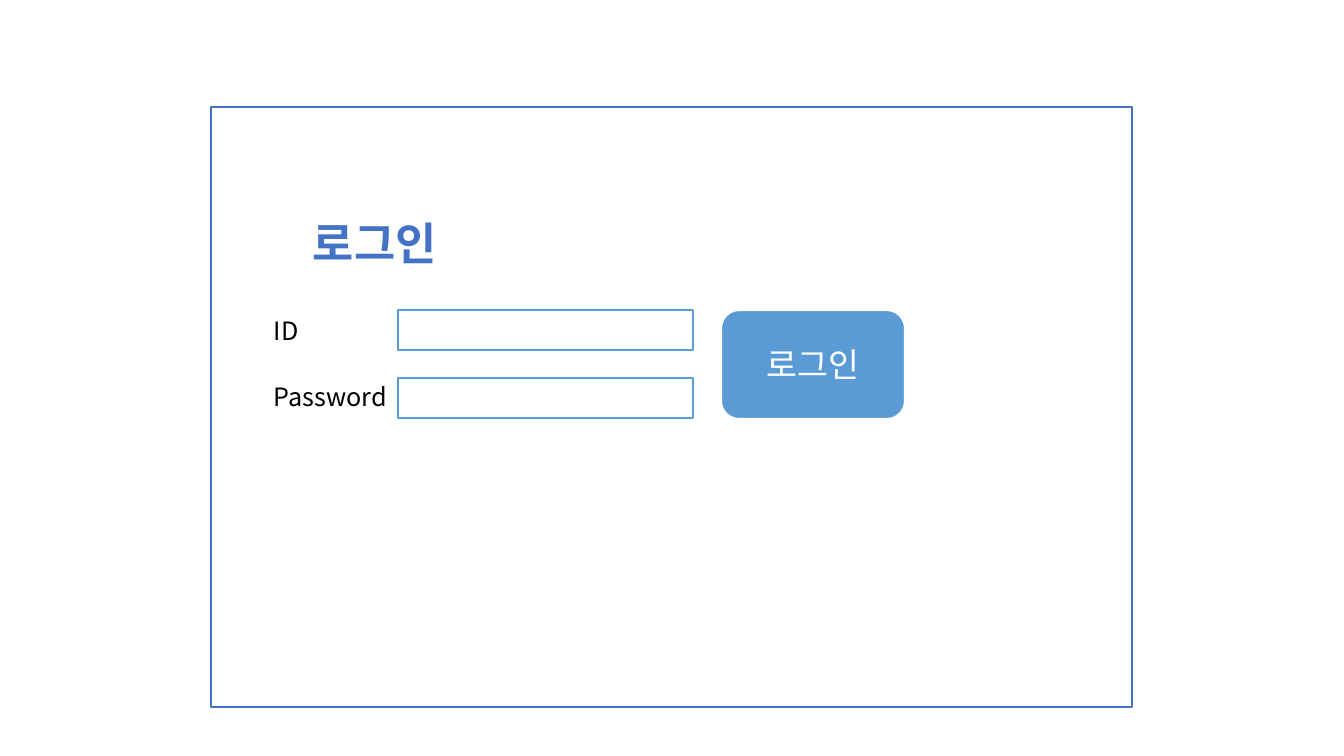
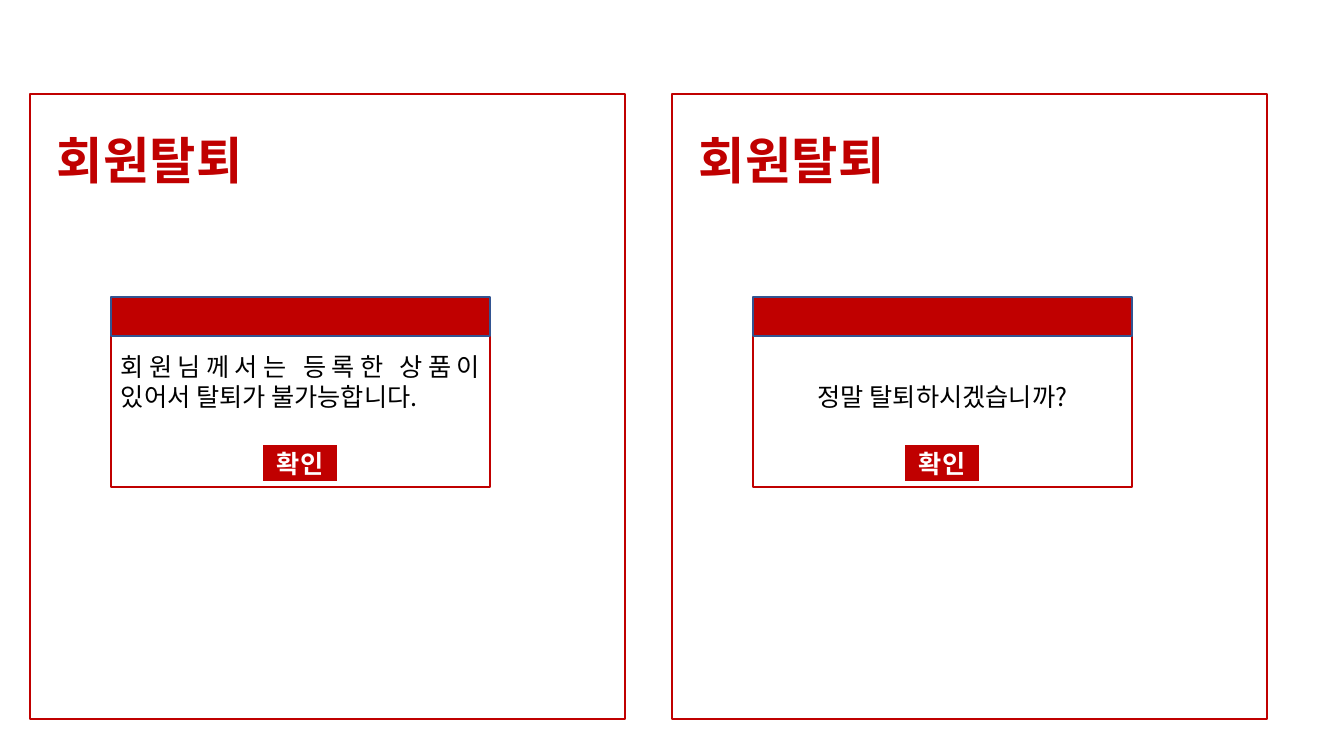
import pptx
import pptx.dml.color
import pptx.enum.shapes
import pptx.enum.text
import pptx.oxml.ns
import pptx.util
from lxml import etree

SHAPE = pptx.enum.shapes.MSO_SHAPE
ALIGN = pptx.enum.text.PP_ALIGN
ANCHOR = pptx.enum.text.MSO_ANCHOR
FONT = "Noto Sans CJK KR"
SCALE = 914400 / 100.8
PAGE_SIZE = (1344, 756)
COLORS = {"white": "FFFFFF", "black": "000000", "blue": "4472C4",
          "sky": "5B9BD5", "red": "C00000", "navy": "325491"}

# Content
LOGIN_TITLE = "로그인"
LOGIN_BUTTON = "로그인"
LOGIN_FIELDS = [("ID", 310, 310), ("Password", 376, 378)]  # label top, field top
LEAVE_TITLE = "회원탈퇴"
CONFIRM = "확인"
# Message, alignment, lines left free under the message
LEAVE_PANELS = [
    ("회원님께서는 등록한 상품이 있어서 탈퇴가 불가능합니다.", ALIGN.JUSTIFY, 2),
    ("정말 탈퇴하시겠습니까?", ALIGN.CENTER, 1),
]

# Text formats
BODY = {"size": 18, "color": "black", "bold": False}
LOGIN_HEADING = {"size": 32, "color": "blue", "bold": True}
LEAVE_HEADING = {"size": 36, "color": "red", "bold": True}
LOGIN_ACTION = {"size": 24, "color": "white", "bold": False}
CONFIRM_ACTION = {"size": 18, "color": "white", "bold": True}

# Layout
PANEL_STEP = 642
LINE_HEIGHT = 30
INSET = 5


def px(value):
    return pptx.util.Emu(round(value * SCALE))


def rgb(name):
    return pptx.dml.color.RGBColor.from_string(COLORS[name])


def write(box, text, style, align=ALIGN.LEFT):
    para = box.text_frame.paragraphs[0]
    para.alignment = align
    para.line_spacing = pptx.util.Pt(style["size"] * 1.2)
    span = para.add_run()
    span.text = text
    values = {"name": FONT, "size": pptx.util.Pt(style["size"]), "bold": style["bold"]}
    for key, value in values.items():
        setattr(span.font, key, value)
    span.font.color.rgb = rgb(style["color"])
    east_asian = etree.SubElement(span.font._element, pptx.oxml.ns.qn("a:ea"))
    east_asian.set("typeface", FONT)


def add_label(page, area, text, style):
    box = page.shapes.add_textbox(*map(px, area))
    box.text_frame.word_wrap = True
    box.text_frame.auto_size = pptx.enum.text.MSO_AUTO_SIZE.SHAPE_TO_FIT_TEXT
    write(box, text, style)


def add_box(page, area, fill, line, width=1, kind=SHAPE.RECTANGLE):
    box = page.shapes.add_shape(kind, *map(px, area))
    box.shadow.inherit = False
    box.fill.solid()
    box.fill.fore_color.rgb = rgb(fill)
    box.line.color.rgb = rgb(line)
    box.line.width = pptx.util.Pt(width)
    box.text_frame.vertical_anchor = ANCHOR.MIDDLE
    return box


def add_button(page, area, fill, text, style, kind=SHAPE.RECTANGLE):
    button = add_box(page, area, fill, "white", 1.5, kind)
    write(button, text, style, ALIGN.CENTER)


def build_login(page):
    add_box(page, (211, 107, 921, 600), "white", "blue")
    add_label(page, (303, 211, 353, 65), LOGIN_TITLE, LOGIN_HEADING)
    for text, label_top, field_top in LOGIN_FIELDS:
        add_label(page, (264, label_top, 142, 40), text, BODY)
        add_box(page, (398, field_top, 295, 40), "white", "sky")
    add_button(page, (721, 310, 184, 109), "sky", LOGIN_BUTTON, LOGIN_ACTION,
               SHAPE.ROUNDED_RECTANGLE)


def build_leave(page):
    for index, (text, align, free_lines) in enumerate(LEAVE_PANELS):
        left = 30 + index * PANEL_STEP
        add_box(page, (left, 94, 595, 625), "white", "red")
        add_label(page, (left + 17, 124, 355, 72), LEAVE_TITLE, LEAVE_HEADING)
        # Dialog: message, title bar, button
        dialog = left + 81
        message = add_box(page, (dialog, 336, 379, 151), "white", "red")
        message.text_frame.margin_bottom = px(INSET + free_lines * LINE_HEIGHT)
        write(message, text, BODY, align)
        add_box(page, (dialog, 297, 379, 39), "red", "navy")
        add_button(page, (dialog + 151, 444, 76, 38), "red", CONFIRM, CONFIRM_ACTION)


deck = pptx.Presentation()
deck.slide_width, deck.slide_height = map(px, PAGE_SIZE)
for build in (build_login, build_leave):
    build(deck.slides.add_slide(deck.slide_layouts[6]))
deck.save("out.pptx")
